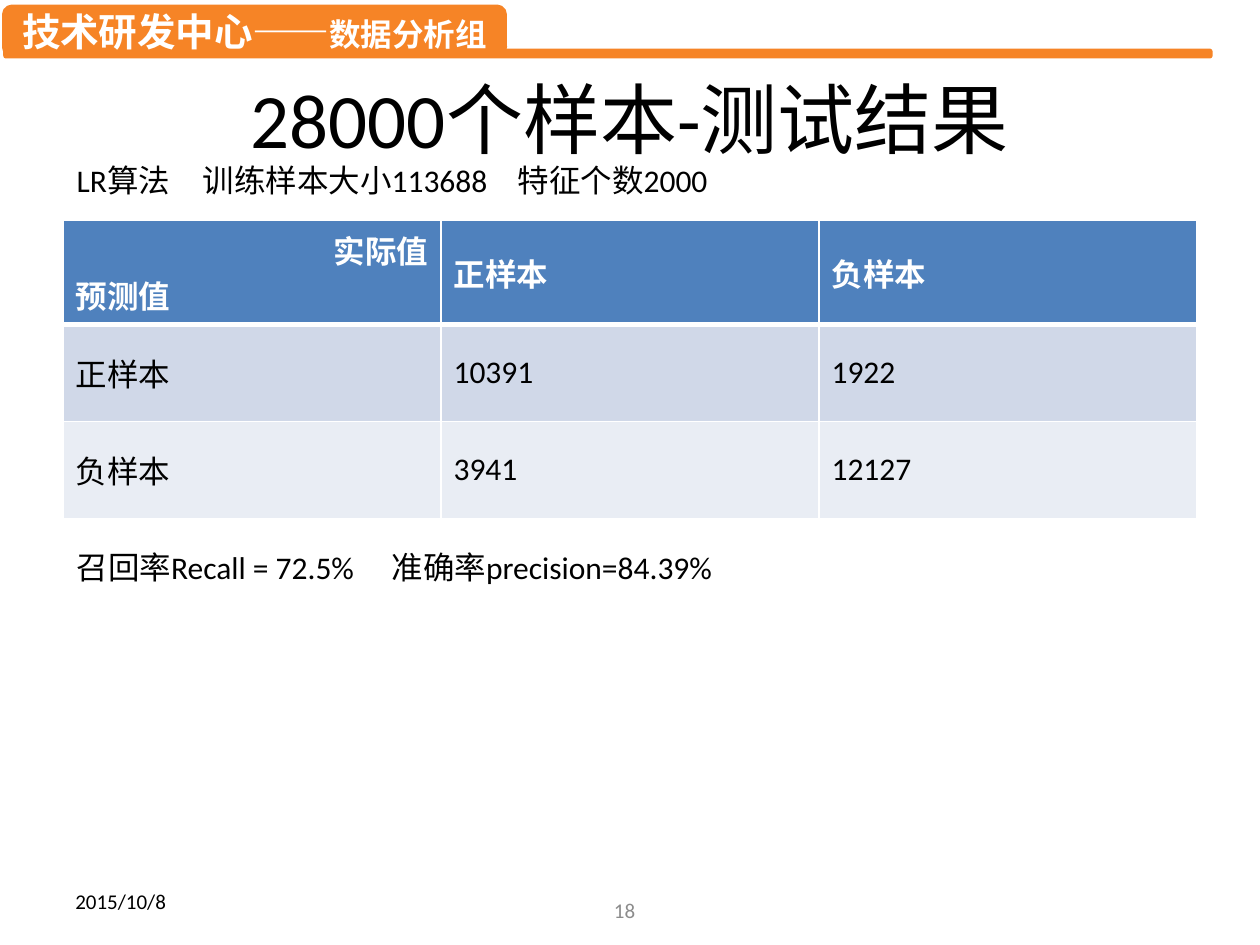
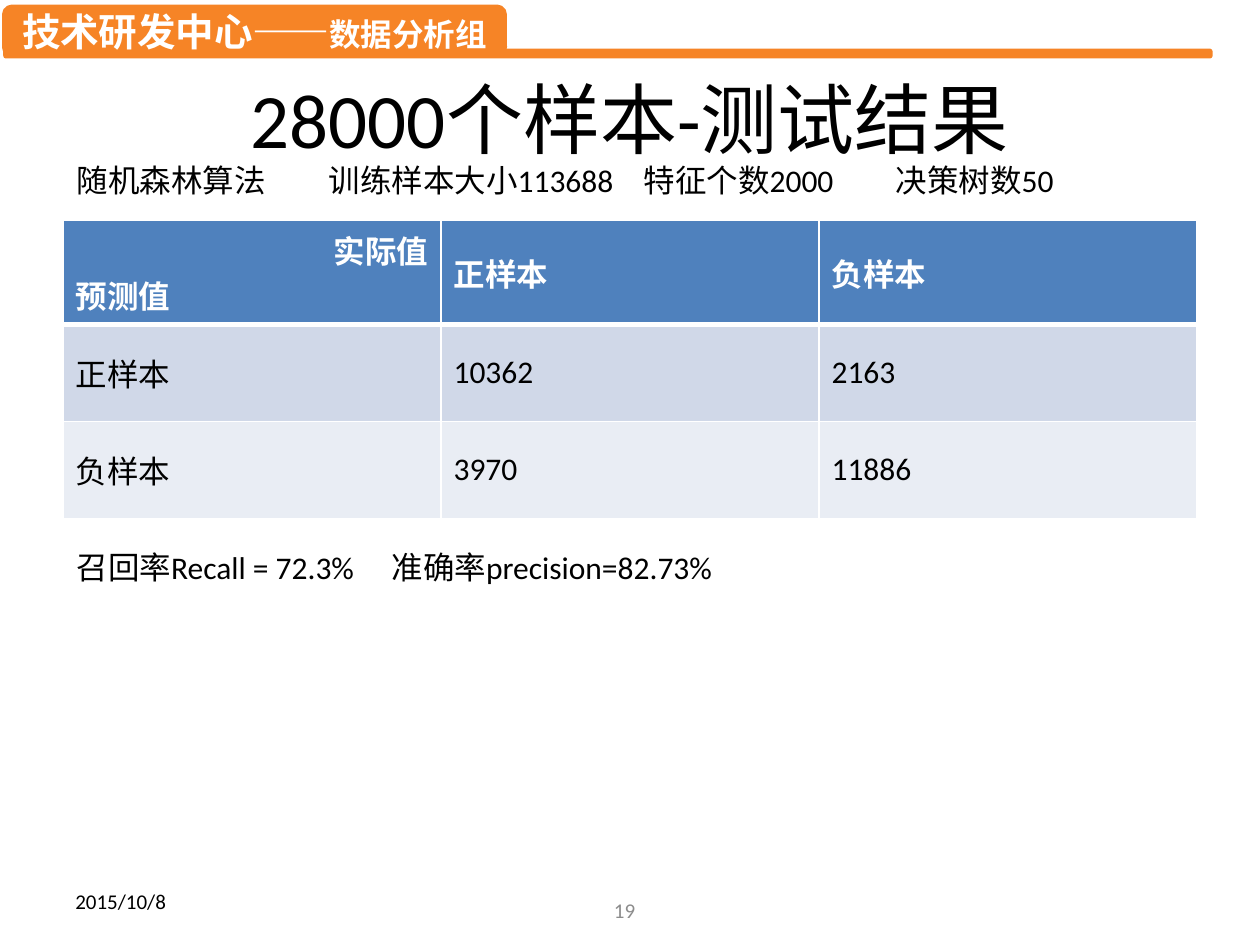
from lxml.etree import SubElement
from pptx import Presentation
from pptx.dml.color import RGBColor
from pptx.enum.shapes import MSO_SHAPE as Shape
from pptx.enum.text import MSO_ANCHOR as Anchor, MSO_AUTO_SIZE as AutoSize, PP_ALIGN as Align
from pptx.oxml.ns import qn
from pptx.util import Pt

ORANGE = RGBColor(0xF6, 0x84, 0x26)
BLUE = RGBColor(0x4F, 0x81, 0xBD)
BAND_DARK = RGBColor(0xD0, 0xD8, 0xE8)
BAND_LIGHT = RGBColor(0xE9, 0xED, 0xF4)
GRAY = RGBColor(0x8C, 0x8C, 0x8C)
BLACK = RGBColor(0, 0, 0)
WHITE = RGBColor(255, 255, 255)
LATIN = "Calibri"
CJK = "Noto Sans CJK SC"
LEFT, WIDTH = 36, 648
ROW_HEIGHT = 55.44


def add_text(p, text, size=18, color=BLACK, bold=False, font=LATIN, align=Align.LEFT):
    p.alignment = align
    r = p.add_run()
    r.text = text
    r.font.size = Pt(size)
    r.font.bold = bold
    r.font.name = font
    r.font.color.rgb = color
    if font == CJK:
        SubElement(r.font._element, qn("a:ea"), typeface=font)


def add_border(cell, side, width):
    ln = SubElement(cell._tc.get_or_add_tcPr(), qn(f"a:ln{side}"), w=str(Pt(width)))
    fill = SubElement(ln, qn("a:solidFill"))
    SubElement(fill, qn("a:srgbClr"), val=str(WHITE))


class Deck:
    def __init__(self):
        self.prs = Presentation()
        self.prs.slide_width, self.prs.slide_height = Pt(720), Pt(540)
        self.s = None

    def new_slide(self, title):
        self.s = self.prs.slides.add_slide(self.prs.slide_layouts[5])
        sp = self.s.shapes.title
        sp.left, sp.top, sp.width, sp.height = Pt(LEFT), Pt(37.44), Pt(WIDTH), Pt(51.12)
        tf = sp.text_frame
        tf.auto_size = AutoSize.NONE
        tf.vertical_anchor = Anchor.TOP
        add_text(tf.paragraphs[0], title, size=44, align=Align.CENTER)

    def bar(self, x, y, w, h):
        sp = self.s.shapes.add_shape(Shape.ROUNDED_RECTANGLE, Pt(x), Pt(y), Pt(w), Pt(h))
        sp.shadow.inherit = False
        sp.fill.solid()
        sp.fill.fore_color.rgb = ORANGE
        sp.line.color.rgb = ORANGE
        sp.line.width = Pt(2)
        self.prs.slide_master.shapes.element.append(sp.element)
        return sp

    def master_banner(self, center, group):
        self.bar(2.88, 28.8, 689.04, 3.6)
        tf = self.bar(2.16, 3.6, 286.56, 28.08).text_frame
        tf.word_wrap = False
        tf.vertical_anchor = Anchor.MIDDLE
        for text, size in ((center, 22), (group, 18)):
            add_text(tf.paragraphs[0], text, size=size, color=WHITE, bold=True,
                     font=CJK, align=Align.CENTER)

    def text(self, text, x, y, w, anchor=Anchor.TOP, **style):
        tf = self.s.shapes.add_textbox(Pt(x), Pt(y), Pt(w), Pt(28.8)).text_frame
        tf.word_wrap = True
        tf.vertical_anchor = anchor
        add_text(tf.paragraphs[0], text, **style)

    def table(self, rows):
        table = self.s.shapes.add_table(len(rows), len(rows[0]), Pt(LEFT), Pt(126),
                                        Pt(WIDTH), Pt(ROW_HEIGHT * len(rows))).table
        for i, (row, fill) in enumerate(zip(rows, (BLUE, BAND_DARK, BAND_LIGHT))):
            table.rows[i].height = Pt(ROW_HEIGHT)
            header = i == 0
            for j, lines in enumerate(row):
                cell = table.cell(i, j)
                cell.vertical_anchor = Anchor.MIDDLE
                for side, width in (("L", 1), ("R", 1), ("T", 3 if i == 1 else 1),
                                    ("B", 3 if header else 1)):
                    add_border(cell, side, width)
                cell.fill.solid()
                cell.fill.fore_color.rgb = fill
                tf = cell.text_frame
                for k, (text, align) in enumerate(lines):
                    p = tf.add_paragraph() if k else tf.paragraphs[0]
                    add_text(p, text, color=WHITE if header else BLACK,
                             bold=header, align=align)

    def footer(self, date, page):
        self.text(date, LEFT, 500.4, 167.76, anchor=Anchor.MIDDLE, size=12)
        self.text(page, 202.32, 505.44, 167.76, anchor=Anchor.MIDDLE, size=12,
                  color=GRAY, align=Align.RIGHT)


def label(text):
    return [(text, Align.LEFT)]


RESULTS = [
    ("18", "LR算法\t训练样本大小113688\t特征个数2000",
     [("10391", "1922"), ("3941", "12127")],
     "召回率Recall = 72.5%\t准确率precision=84.39%"),
    ("19", "随机森林算法\t训练样本大小113688\t特征个数2000\t决策树数50",
     [("10362", "2163"), ("3970", "11886")],
     "召回率Recall = 72.3%\t准确率precision=82.73%"),
]
CLASSES = ("正样本", "负样本")
CORNER = [("实际值", Align.RIGHT), ("预测值", Align.LEFT)]

deck = Deck()
for n, (page, setup, counts, scores) in enumerate(RESULTS):
    deck.new_slide("28000个样本-测试结果")
    if n == 0:
        deck.master_banner("技术研发中心——", "数据分析组")
    body = [[label(t) for t in (name, *row)] for name, row in zip(CLASSES, counts)]
    deck.table([[CORNER, *map(label, CLASSES)], *body])
    deck.footer("2015/10/8", page)
    deck.text(setup, 36.72, 88.56, 646.56)
    deck.text(scores, 36.72, 309.6, 646.56)
deck.prs.save("out.pptx")
